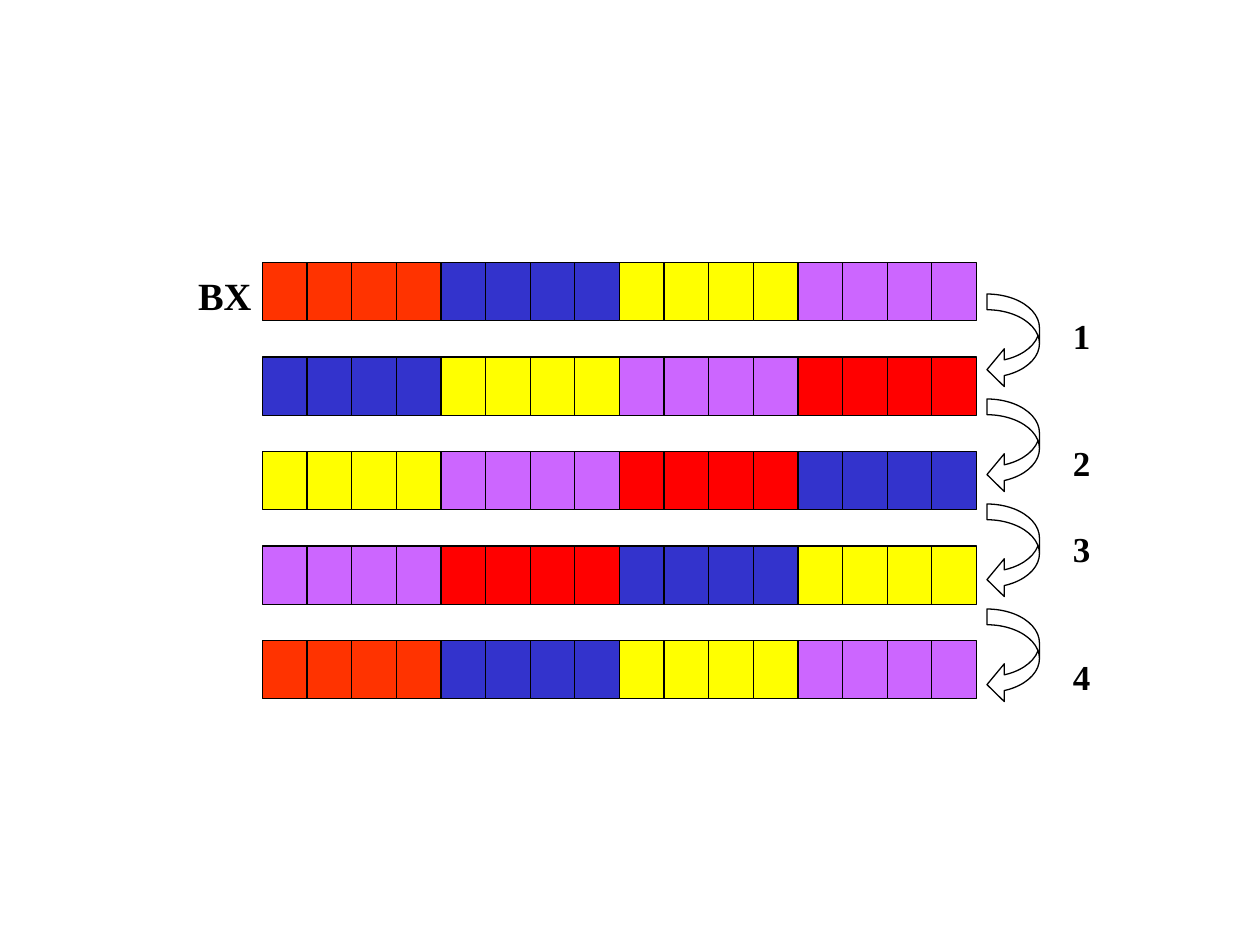
from pptx import Presentation
from pptx.dml.color import RGBColor
from pptx.enum import shapes
from pptx.util import Pt

COLORS = {
    "orange": "FF3300",
    "blue": "3333CC",
    "yellow": "FFFF00",
    "purple": "CC66FF",
    "red": "FF0000",
    "black": "000000",
}
ROWS = [
    ["orange", "blue", "yellow", "purple"],
    ["blue", "yellow", "purple", "red"],
    ["yellow", "purple", "red", "blue"],
    ["purple", "red", "blue", "yellow"],
    ["orange", "blue", "yellow", "purple"],
]
REGISTER = [("BX", 0)]
STEPS = [("1", 0), ("2", 49), ("3", 25), ("4", 49)]

BITS = 4
LEFT, TOP = 150, 150
CELL_W, CELL_H, ROW_STEP = 25.5, 33.3, 54
ARROW_LEFT, ARROW_TOP = 564, 168
ARROW_W, ARROW_H, ARROW_STEP = 30, 54, 60
ARROW_ADJUSTMENTS = (0.3, 0.72, 0.33)


def rgb(name):
    return RGBColor.from_string(COLORS[name])


def add_shape(s, kind, x, y, w, h, fill=None):
    sp = s.shapes.add_shape(kind, Pt(x), Pt(y), Pt(w), Pt(h))
    sp.shadow.inherit = False
    if fill:
        sp.fill.solid()
        sp.fill.fore_color.rgb = rgb(fill)
    else:
        sp.fill.background()
    sp.line.color.rgb = rgb("black")
    sp.line.width = Pt(0.75)
    return sp


def add_text(s, lines, x, y, w, h, size=20, inset=7.2):
    tf = s.shapes.add_textbox(Pt(x), Pt(y), Pt(w), Pt(h)).text_frame
    tf.word_wrap = True
    tf.margin_left = Pt(inset)
    for i, (words, gap) in enumerate(lines):
        p = tf.add_paragraph() if i else tf.paragraphs[0]
        if gap:
            p.space_before = Pt(gap)
        r = p.add_run()
        r.text = words
        r.font.name = "Times New Roman"
        r.font.size = Pt(size)
        r.font.bold = True
        r.font.color.rgb = rgb("black")


def main():
    prs = Presentation()
    prs.slide_width, prs.slide_height = Pt(720), Pt(540)
    s = prs.slides.add_slide(prs.slide_layouts[6])

    for row, digits in enumerate(ROWS):
        for col in range(len(digits) * BITS):
            add_shape(s, shapes.MSO_SHAPE.RECTANGLE, LEFT + col * CELL_W,
                      TOP + row * ROW_STEP, CELL_W, CELL_H, digits[col // BITS])

    for i in range(len(STEPS)):
        arrow = add_shape(s, shapes.MSO_SHAPE.CURVED_LEFT_ARROW, ARROW_LEFT,
                          ARROW_TOP + i * ARROW_STEP, ARROW_W, ARROW_H)
        for k, value in enumerate(ARROW_ADJUSTMENTS):
            arrow.adjustments[k] = value

    add_text(s, REGISTER, 84, 152, 84, 48, size=22, inset=29.2)
    add_text(s, STEPS, 606, 176, 54, 125)
    prs.save("out.pptx")


if __name__ == "__main__":
    main()
